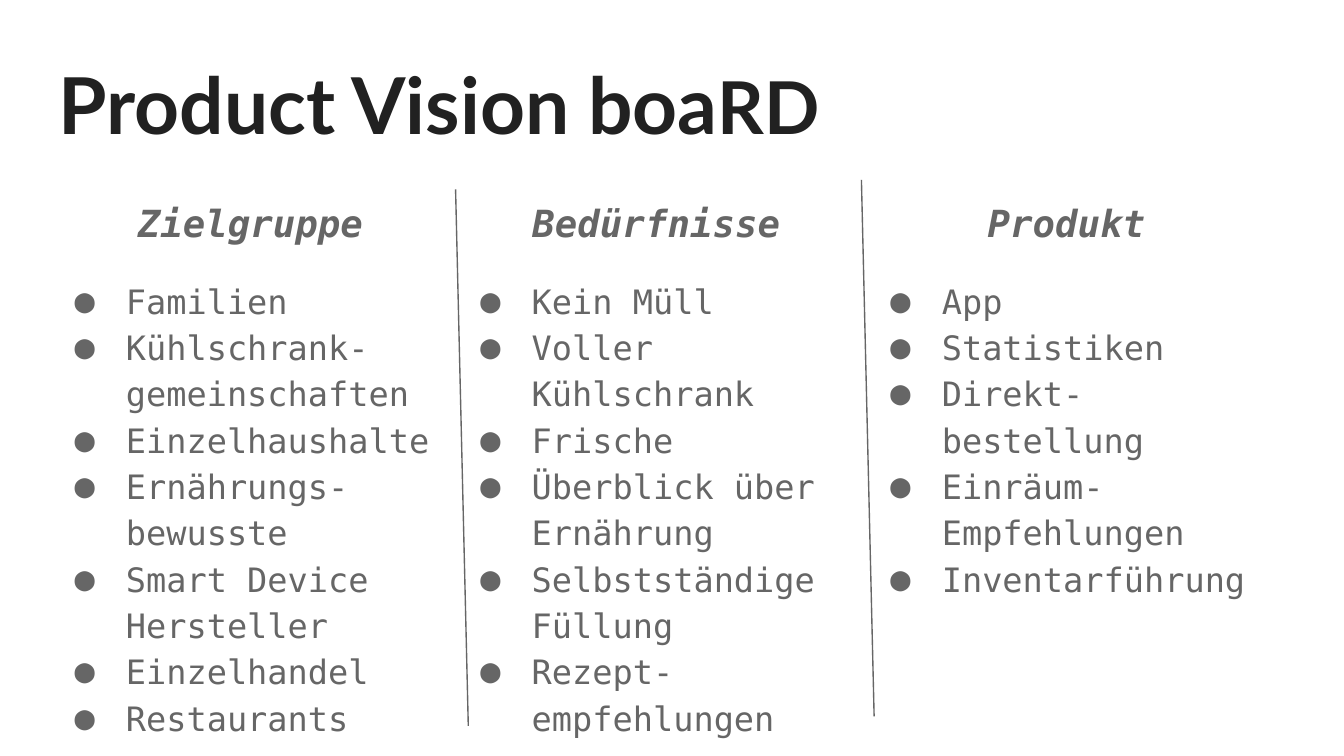
import dataclasses

import lxml.etree
import pptx
import pptx.dml.color
import pptx.enum.shapes
import pptx.enum.text
import pptx.oxml.ns
import pptx.util

Cm = pptx.util.Cm
Pt = pptx.util.Pt


@dataclasses.dataclass(frozen=True)
class Theme:
    title_font: str = "Lato"
    body_font: str = "DejaVu Sans Mono"
    title_color: str = "212121"
    body_color: str = "666666"
    title_size: float = 42
    title_end_size: float = 39
    heading_size: float = 20
    item_size: float = 18
    line_spacing: float = 1.15
    heading_gap: float = 16
    rule_width: float = 0.75


@dataclasses.dataclass(frozen=True)
class Column:
    left: float
    height: float
    heading: str
    items: tuple[str, ...]


@dataclasses.dataclass(frozen=True)
class Divider:
    left: float
    top: float
    lean: float


THEME = Theme()
MARGIN = 0.86
COLUMN_TOP = 3.4
COLUMN_WIDTH = 7.75
DIVIDER_HEIGHT = 10.14

COLUMNS = (
    Column(MARGIN, 10.49, "Zielgruppe", (
        "Familien", "Kühlschrank-\ngemeinschaften", "Einzelhaushalte",
        "Ernährungs-\nbewusste", "Smart Device Hersteller",
        "Einzelhandel", "Restaurants")),
    Column(8.53, 10.49, "Bedürfnisse", (
        "Kein Müll", "Voller Kühlschrank", "Frische",
        "Überblick über Ernährung", "Selbstständige Füllung",
        "Rezept-\nempfehlungen")),
    Column(16.28, 9.27, "Produkt", (
        "App", "Statistiken", "Direkt-\nbestellung",
        "Einräum-\nEmpfehlungen", "Inventarführung")),
)
DIVIDERS = (Divider(8.61, 3.58, 0.24), Divider(16.28, 3.4, 0.24))


def color(value: str) -> pptx.dml.color.RGBColor:
    return pptx.dml.color.RGBColor.from_string(value)


def add_text_frame(slide, left: float, top: float, width: float, height: float):
    shape = slide.shapes.add_textbox(Cm(left), Cm(top), Cm(width), Cm(height))
    frame = shape.text_frame
    frame.word_wrap = True
    frame.vertical_anchor = pptx.enum.text.MSO_ANCHOR.TOP
    frame.margin_left = frame.margin_right = Cm(0.25)
    frame.margin_top = frame.margin_bottom = Cm(0.25)
    return frame


def add_run(paragraph, text: str, font: str, size: float, ink: str,
            bold: bool = False, italic: bool = False) -> None:
    run = paragraph.add_run()
    run.text = text
    run.font.name = font
    run.font.size = Pt(size)
    run.font.bold = bold
    run.font.italic = italic
    run.font.color.rgb = color(ink)


def set_bullet(paragraph) -> None:
    properties = paragraph._p.get_or_add_pPr()
    properties.set("marL", str(Cm(1.27)))
    properties.set("indent", str(-Cm(0.97)))
    qn = pptx.oxml.ns.qn
    bullet_color = lxml.etree.SubElement(properties, qn("a:buClr"))
    lxml.etree.SubElement(bullet_color, qn("a:srgbClr"), val=THEME.body_color)
    lxml.etree.SubElement(properties, qn("a:buFont"), typeface=THEME.body_font)
    lxml.etree.SubElement(properties, qn("a:buChar"), char="●")


def add_title(slide) -> None:
    paragraph = add_text_frame(slide, MARGIN, 0.81, 23.67, 2.24).paragraphs[0]
    for text, size in (("Product Vision boa", THEME.title_size),
                       ("RD", THEME.title_end_size)):
        add_run(paragraph, text, THEME.title_font, size, THEME.title_color, bold=True)


def add_column(slide, column: Column) -> None:
    frame = add_text_frame(slide, column.left, COLUMN_TOP, COLUMN_WIDTH, column.height)
    heading = frame.paragraphs[0]
    heading.alignment = pptx.enum.text.PP_ALIGN.CENTER
    heading.line_spacing = THEME.line_spacing
    add_run(heading, column.heading, THEME.body_font, THEME.heading_size,
            THEME.body_color, bold=True, italic=True)
    for index, item in enumerate(column.items):
        paragraph = frame.add_paragraph()
        paragraph.line_spacing = THEME.line_spacing
        paragraph.space_before = Pt(0 if index else THEME.heading_gap)
        set_bullet(paragraph)
        for position, line in enumerate(item.split("\n")):
            if position:
                paragraph.add_line_break()
            add_run(paragraph, line, THEME.body_font, THEME.item_size, THEME.body_color)


def add_divider(slide, divider: Divider) -> None:
    connector = slide.shapes.add_connector(
        pptx.enum.shapes.MSO_CONNECTOR.STRAIGHT,
        Cm(divider.left), Cm(divider.top),
        Cm(divider.left + divider.lean), Cm(divider.top + DIVIDER_HEIGHT))
    connector.line.color.rgb = color(THEME.body_color)
    connector.line.width = Pt(THEME.rule_width)
    lxml.etree.SubElement(connector._element.spPr, pptx.oxml.ns.qn("a:effectLst"))


def main() -> None:
    presentation = pptx.Presentation()
    presentation.slide_width = Cm(25.4)
    presentation.slide_height = Cm(14.29)
    slide = presentation.slides.add_slide(presentation.slide_layouts[6])
    add_title(slide)
    for column in COLUMNS:
        add_column(slide, column)
    for divider in DIVIDERS:
        add_divider(slide, divider)
    presentation.save("out.pptx")


if __name__ == "__main__":
    main()
